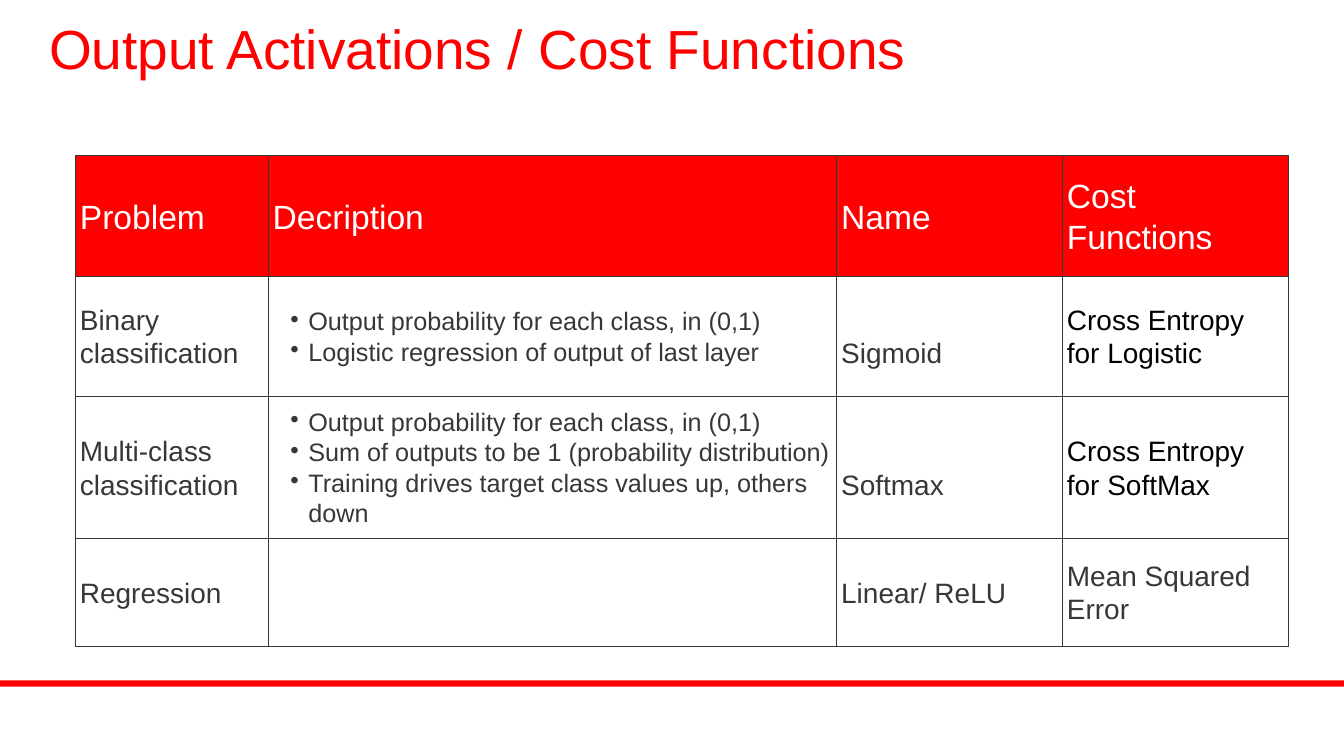
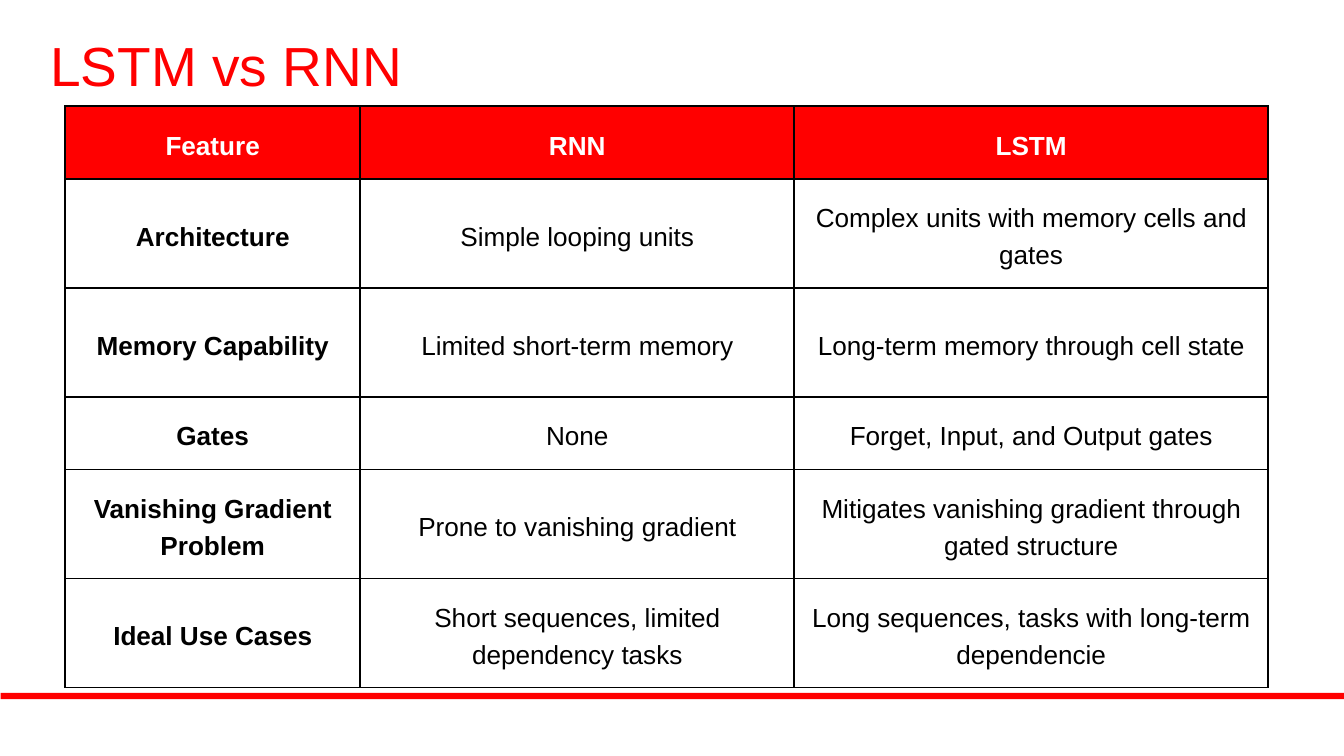
from lxml import etree
from pptx import Presentation
from pptx.dml.color import RGBColor
from pptx.enum import shapes, text
from pptx.oxml import ns
from pptx.util import Pt

COLORS = {"red": "FF0000", "white": "FFFFFF", "gray": "373737", "black": "000000"}
FONT = "Arial"
LEFT, CENTER = text.PP_ALIGN.LEFT, text.PP_ALIGN.CENTER
BULLET_INDENT, BULLET_HANG = 38.2, 19.4

ACTIVATION_HEADER = ["Problem", "Decription", "Name", "Cost Functions"]
ACTIVATION_ROWS = [
    ["Binary classification",
     ["Output probability for each class, in (0,1)",
      "Logistic regression of output of last layer"],
     "Sigmoid", "Cross Entropy for Logistic"],
    ["Multi-class classification",
     ["Output probability for each class, in (0,1)",
      "Sum of outputs to be 1 (probability distribution)",
      "Training drives target class values up, others down"],
     "Softmax", "Cross Entropy for SoftMax"],
    ["Regression", [], "Linear/ ReLU", "Mean Squared Error"],
]
COMPARISON_HEADER = ["Feature", "RNN", "LSTM"]
COMPARISON_ROWS = [
    ["Architecture", "Simple looping units",
     "Complex units with memory cells and gates"],
    ["Memory Capability", "Limited short-term memory",
     "Long-term memory through cell state"],
    ["Gates", "None", "Forget, Input, and Output gates"],
    ["Vanishing Gradient Problem", "Prone to vanishing gradient",
     "Mitigates vanishing gradient through gated structure"],
    ["Ideal Use Cases", "Short sequences, limited dependency tasks",
     "Long sequences, tasks with long-term dependencie"],
]


def rgb(color):
    return RGBColor.from_string(COLORS[color])


def set_values(target, values):
    for name, value in values.items():
        setattr(target, name, value)


def write_paragraph(paragraph, words, size, color, spacing, bold=False, align=LEFT):
    set_values(paragraph, {"alignment": align, "line_spacing": Pt(spacing)})
    run = paragraph.add_run()
    run.text = words
    set_values(run.font, {"name": FONT, "size": Pt(size), "bold": bold})
    run.font.color.rgb = rgb(color)


def add_bullet(paragraph):
    paragraph.level = 1
    properties = paragraph._p.get_or_add_pPr()
    properties.set("marL", str(Pt(BULLET_INDENT)))
    properties.set("indent", str(-Pt(BULLET_HANG)))
    etree.SubElement(properties, ns.qn("a:buChar"), char="•")


def add_title(slide, words, left, top, width):
    box = slide.shapes.add_textbox(Pt(left), Pt(top), Pt(width), Pt(67))
    frame = box.text_frame
    set_values(frame, {"margin_left": 0, "margin_top": 0, "margin_right": 0,
                       "margin_bottom": 0, "word_wrap": True,
                       "auto_size": text.MSO_AUTO_SIZE.SHAPE_TO_FIT_TEXT})
    write_paragraph(frame.paragraphs[0], words, 59, "red", 63.7)


def add_footer_bar(slide, left, top):
    bar = slide.shapes.add_shape(shapes.MSO_SHAPE.RECTANGLE,
                                 Pt(left), Pt(top), Pt(1443), Pt(6.7))
    bar.shadow.inherit = False
    bar.fill.solid()
    bar.fill.fore_color.rgb = rgb("red")
    bar.line.fill.background()


def add_borders(cell, color, width):
    properties = cell._tc.get_or_add_tcPr()
    for side in ("lnL", "lnR", "lnT", "lnB"):
        line = etree.SubElement(properties, ns.qn(f"a:{side}"), w=str(Pt(width)))
        fill = etree.SubElement(line, ns.qn("a:solidFill"))
        etree.SubElement(fill, ns.qn("a:srgbClr"), val=COLORS[color])


def add_grid(slide, left, top, widths, heights, margin, border):
    """Add an empty bordered table with a red header row."""
    frame = slide.shapes.add_table(len(heights), len(widths), Pt(left), Pt(top),
                                   Pt(sum(widths)), Pt(sum(heights)))
    table = frame.table
    for column, width in zip(table.columns, widths):
        column.width = Pt(width)
    for index, (row, height) in enumerate(zip(table.rows, heights)):
        row.height = Pt(height)
        for cell in row.cells:
            set_values(cell, {"vertical_anchor": text.MSO_ANCHOR.MIDDLE,
                              "margin_left": Pt(margin), "margin_right": Pt(margin),
                              "margin_top": Pt(margin), "margin_bottom": Pt(margin)})
            add_borders(cell, *border)
            if index == 0:
                cell.fill.solid()
                cell.fill.fore_color.rgb = rgb("red")
            else:
                cell.fill.background()
    return table


def write_cell(cell, words, **style):
    write_paragraph(cell.text_frame.paragraphs[0], words, **style)


def write_bullets(cell, items):
    frame = cell.text_frame
    for index, item in enumerate(items):
        paragraph = frame.add_paragraph() if index else frame.paragraphs[0]
        write_paragraph(paragraph, item, 27, "gray", 32.4)
        add_bullet(paragraph)


def add_activation_table(slide):
    margin, line = 5, 36
    table = add_grid(slide, 80.6, 167, [206.6, 609.1, 241.9, 241.9],
                     [128.9, 128.9, 151.9, 115.9], margin, ("gray", 1))
    for column, words in enumerate(ACTIVATION_HEADER):
        write_cell(table.cell(0, column), words, size=36, color="white", spacing=43.2)
    for row, (problem, description, name, cost) in enumerate(ACTIVATION_ROWS, 1):
        cells = [table.cell(row, column) for column in range(4)]
        body = {"size": 30, "color": "gray", "spacing": line}
        write_cell(cells[0], problem, **body)
        write_bullets(cells[1], description)
        write_cell(cells[2], name, **body)
        if description:
            cells[2].margin_top = Pt(margin + line)  # name sits one line lower
            body["color"] = "black"
        write_cell(cells[3], cost, **body)


def add_comparison_table(slide):
    tall, short = 116.8, 77.8
    table = add_grid(slide, 69.8, 113.8, [316.1, 465.1, 507.6],
                     [short, tall, tall, short, tall, tall], 15, ("black", 2.25))
    for row, entries in enumerate([COMPARISON_HEADER, *COMPARISON_ROWS]):
        for column, words in enumerate(entries):
            write_cell(table.cell(row, column), words, size=28, spacing=39.2,
                       color="black" if row else "white",
                       bold=row == 0 or column == 0, align=CENTER)


def main():
    presentation = Presentation()
    set_values(presentation, {"slide_width": Pt(1440), "slide_height": Pt(810)})
    blank = presentation.slide_layouts[6]

    activations = presentation.slides.add_slide(blank)
    add_footer_bar(activations, -1.5, 729)
    add_title(activations, "Output Activations / Cost Functions", 52.6, 22.3, 1227.6)
    add_activation_table(activations)

    comparison = presentation.slides.add_slide(blank)
    add_footer_bar(comparison, 0.7, 742.3)
    add_comparison_table(comparison)
    add_title(comparison, "LSTM vs RNN", 54, 41, 422.6)

    presentation.save("out.pptx")


if __name__ == "__main__":
    main()
